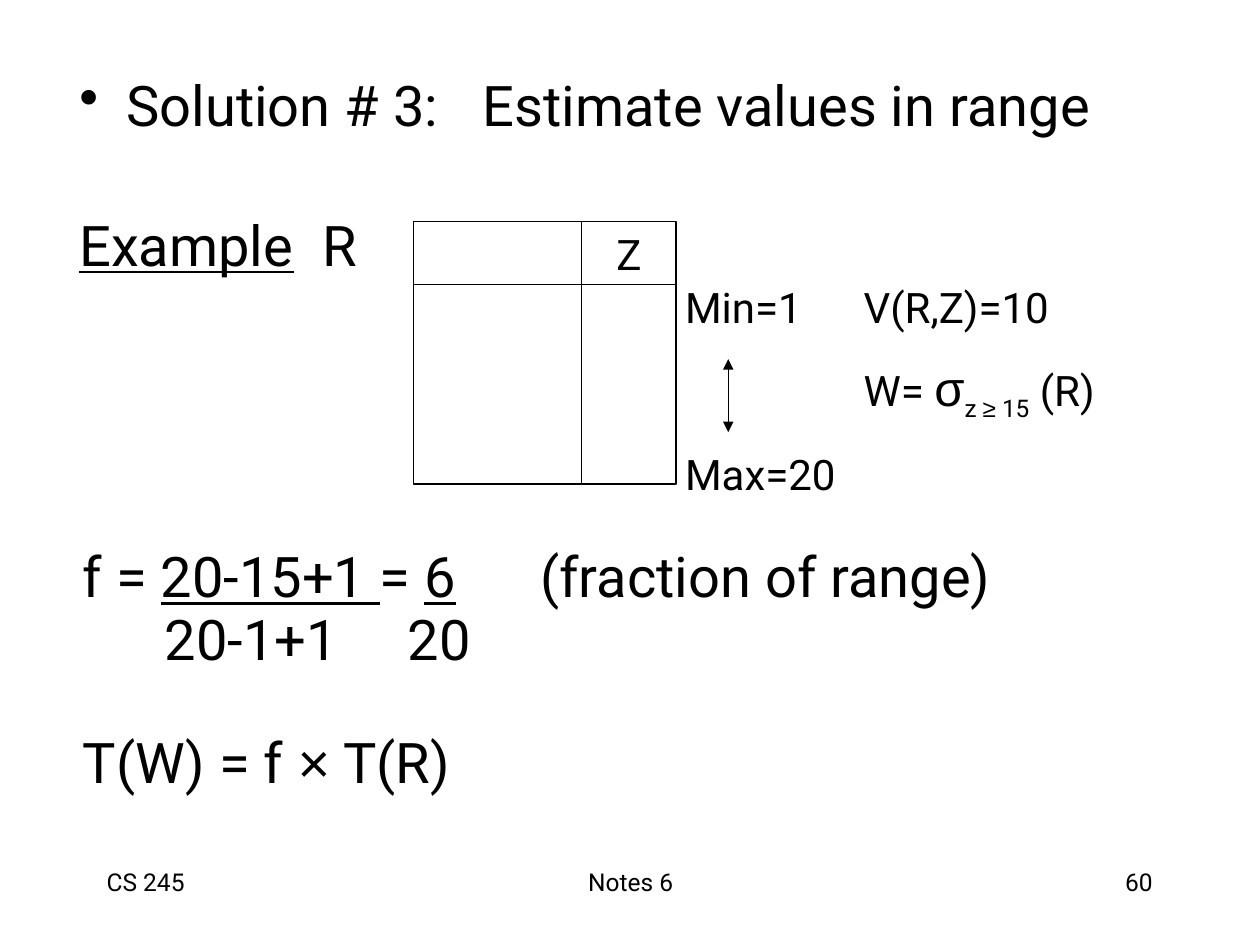
"""Build the slide on estimating result size from the range of values."""
from lxml import etree
from pptx import Presentation
from pptx.dml.color import RGBColor
from pptx.enum.shapes import MSO_CONNECTOR, MSO_SHAPE
from pptx.enum.text import MSO_ANCHOR, PP_ALIGN
from pptx.oxml.ns import qn
from pptx.util import Cm, Pt

RECT = MSO_SHAPE.RECTANGLE
STRAIGHT = MSO_CONNECTOR.STRAIGHT
TOP, MIDDLE = MSO_ANCHOR.TOP, MSO_ANCHOR.MIDDLE
LEFT, CENTER, RIGHT = PP_ALIGN.LEFT, PP_ALIGN.CENTER, PP_ALIGN.RIGHT
BLACK, WHITE = "000000", "FFFFFF"


def paint(fill, color):
    fill.solid()
    fill.fore_color.rgb = RGBColor.from_string(color)


def write(tf, runs, first=False, size=32, align=LEFT, before=0, spacing=None, tabs=(), bullet=False):
    p = tf.paragraphs[0] if first else tf.add_paragraph()
    pPr = p._p.get_or_add_pPr()
    if bullet:
        pPr.set("marL", str(Cm(0.95)))
        pPr.set("indent", str(-Cm(0.95)))
        etree.SubElement(pPr, qn("a:buChar")).set("char", "•")
    if tabs:
        stops = etree.SubElement(pPr, qn("a:tabLst"))
        for pos in tabs:
            etree.SubElement(stops, qn("a:tab"), pos=str(Cm(pos)), algn="l")
    p.alignment = align
    p.space_before = Pt(before)
    if spacing:
        p.line_spacing = spacing
    for text, fmt in runs:
        r = p.add_run()
        r.text = text
        r.font.name = fmt.get("font", "Roboto")
        r.font.size = Pt(fmt.get("size", size))
        r.font.underline = fmt.get("underline", False)
        paint(r.font.fill, BLACK)
        if "baseline" in fmt:
            r._r.get_or_add_rPr().set("baseline", fmt["baseline"])


prs = Presentation()
prs.slide_width, prs.slide_height = Cm(25.4), Cm(19.05)
s = prs.slides.add_slide(prs.slide_layouts[6])
paint(s.background.fill, WHITE)

plain, under = {}, {"underline": True}
sub = {"baseline": "-25000"}

# Relation R: header row above a body row, wide column beside Z
for y, h, labels in [(4.47, 1.27, ("", "Z")), (5.74, 4.02, ("", ""))]:
    for x, w, label in zip((8.34, 11.73), (3.39, 1.9), labels):
        sp = s.shapes.add_shape(RECT, Cm(x), Cm(y), Cm(w), Cm(h))
        sp.shadow.inherit = False
        paint(sp.fill, WHITE)
        paint(sp.line.fill, BLACK)
        sp.line.width = Pt(0.75)
        if label:
            sp.text_frame.vertical_anchor = MIDDLE
            write(sp.text_frame, [(label, plain)], first=True, size=24, align=CENTER)

boxes = [
    (1.35, 1.3, 21.59, 11.43, TOP, [
        dict(runs=[("Solution # 3:\tEstimate values in range", plain)],
             bullet=True, tabs=(7.11, 8.13)),
        dict(runs=[("Example", under), ("\tR", plain)],
             before=55, spacing=0.6, tabs=(4.9,)),
    ]),
    (13.56, 5.54, 10.52, 4.65, MIDDLE, [
        dict(runs=[("Min=1\tV(R,Z)=10", plain)], size=24, tabs=(3.6,)),
        dict(runs=[("\tW= ", plain), ("σ", {"font": "Arial", "size": 28}), ("z ", sub),
                   ("≥", {"font": "Arial", **sub}), (" 15", sub), (" (R)", plain)],
             size=24, before=15, tabs=(3.6,)),
        dict(runs=[("Max=20", plain)], size=24, before=15),
    ]),
    (1.42, 10.8, 21.59, 6.2, TOP, [
        dict(runs=[("f = ", plain), ("20-15+1 ", under), ("= ", plain), ("6", under),
                   ("\t(fraction of range)", plain)], tabs=(9.22,)),
        dict(runs=[("\t20-1+1\t20", plain)], before=8, spacing=0.7, tabs=(1.65, 6.55)),
        dict(runs=[("T(W) = f ", plain), ("×", {"font": "Arial"}), (" T(R)", plain)],
             before=43, spacing=0.7),
    ]),
]
for x, w, label, align in [(8.69, 8.05, "Notes 6", CENTER), (18.21, 5.28, "60", RIGHT),
                           (1.9, 5.28, "CS 245", LEFT)]:
    boxes.append((x, 17.35, w, 1.27, TOP, [dict(runs=[(label, plain)], size=14, align=align)]))

for x, y, w, h, anchor, paragraphs in boxes:
    tf = s.shapes.add_textbox(Cm(x), Cm(y), Cm(w), Cm(h)).text_frame
    tf.word_wrap = True
    tf.vertical_anchor = anchor
    for i, paragraph in enumerate(paragraphs):
        write(tf, first=i == 0, **paragraph)

arrow = s.shapes.add_connector(STRAIGHT, Cm(14.68), Cm(7.24), Cm(14.68), Cm(8.71))
paint(arrow.line.fill, BLACK)
arrow.line.width = Pt(0.75)
ln = arrow.line._get_or_add_ln()
for end in ("a:headEnd", "a:tailEnd"):
    etree.SubElement(ln, qn(end), type="triangle")
etree.SubElement(arrow._element.spPr, qn("a:effectLst"))

prs.save("out.pptx")
